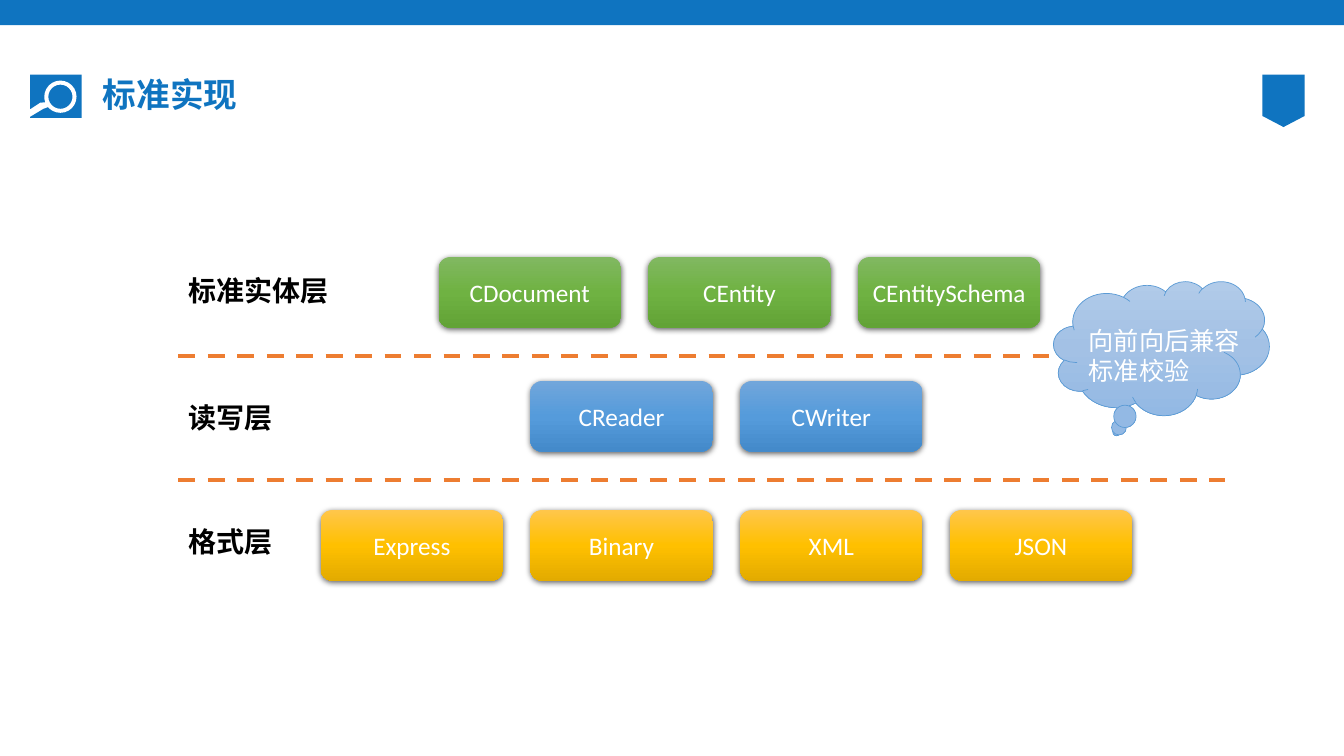
from copy import deepcopy
from dataclasses import dataclass
from itertools import pairwise
from math import cos, radians, sin

from lxml.etree import Element, SubElement
from pptx import Presentation
from pptx.dml.color import RGBColor
from pptx.enum.dml import MSO_LINE
from pptx.enum.shapes import MSO_CONNECTOR, MSO_SHAPE
from pptx.enum.text import MSO_ANCHOR, MSO_AUTO_SIZE, PP_ALIGN
from pptx.oxml.ns import qn
from pptx.shapes.autoshape import Shape
from pptx.slide import Slide
from pptx.util import Inches, Pt

COLORS = {
    "brand": "0F74C0",
    "white": "FFFFFF",
    "black": "000000",
    "divider": "ED7D31",
    "cloud_line": "5B9BD5",
}
GRADIENTS = {
    "green": ("81B861", "6FB242", "62A336"),
    "blue": ("71A6DB", "559BDB", "448ACA"),
    "yellow": ("FFC64B", "FFC000", "E3AB00"),
    "cloud": ("B1CBE9", "A3C1E5", "93B9E4"),
}
LATIN_FONT = "Calibri"
CHINESE_FONT = "Noto Sans CJK SC"
BOX_WIDTH, BOX_HEIGHT, BOX_STEP = 1.81, 0.7, 2.08
LABEL_LEFT, DIVIDER_RIGHT = 1.77, 12.15
Points = list[tuple[float, float]]


@dataclass
class Layer:
    label: str
    label_top: float
    label_width: float
    boxes: tuple[str, ...]
    box_left: float
    box_top: float
    gradient: str


LAYERS = [
    Layer("标准实体层", 2.66, 1.6, ("CDocument", "CEntity", "CEntitySchema"), 4.35, 2.55, "green"),
    Layer("读写层", 3.92, 1.04, ("CReader", "CWriter"), 5.26, 3.78, "blue"),
    Layer("格式层", 5.15, 1.04, ("Express", "Binary", "XML", "JSON"), 3.18, 5.06, "yellow"),
]
DIVIDER_TOPS = (3.53, 4.76)


def rgb(name: str) -> RGBColor:
    return RGBColor.from_string(COLORS[name])


def add_run(paragraph, text: str, size: int, color: str, font_name: str, bold: bool = False) -> None:
    run = paragraph.add_run()
    run.text = text
    run.font.size = Pt(size)
    run.font.bold = bold
    run.font.color.rgb = rgb(color)
    run.font.name = font_name
    SubElement(run.font._element, qn("a:ea"), typeface=font_name)


def fill_plain(shape: Shape, color: str) -> None:
    shape.fill.solid()
    shape.fill.fore_color.rgb = rgb(color)
    shape.line.fill.background()
    shape.shadow.inherit = False


def fill_gradient(shape: Shape, name: str) -> None:
    shape.fill.gradient()
    shape.fill.gradient_angle = 270
    stop_list = shape._element.spPr.find(".//" + qn("a:gsLst"))
    stop_list.append(deepcopy(stop_list[0]))
    for index, stop in enumerate(shape.fill.gradient_stops):
        stop.position = index / 2
        stop.color.rgb = RGBColor.from_string(GRADIENTS[name][index])
    shape.shadow.inherit = False


def add_drop_shadow(shape: Shape) -> None:
    effects = shape._element.spPr.find(qn("a:effectLst"))
    shadow = SubElement(effects, qn("a:outerShdw"), blurRad=str(Pt(4.5)), dist=str(Pt(1.5)),
                        dir="5400000", algn="ctr", rotWithShape="0")
    color = SubElement(shadow, qn("a:srgbClr"), val=COLORS["black"])
    SubElement(color, qn("a:alpha"), val="63000")


def add_plain_rectangle(slide: Slide, left: float, top: float, width: float, height: float) -> None:
    shape = slide.shapes.add_shape(
        MSO_SHAPE.RECTANGLE, Inches(left), Inches(top), Inches(width), Inches(height))
    fill_plain(shape, "brand")


def add_outline(slide: Slide, contours: list[Points], color: str) -> Shape:
    scaled = [[(Inches(x), Inches(y)) for x, y in contour] for contour in contours]
    builder = slide.shapes.build_freeform(*scaled[0][0])
    builder.add_line_segments(scaled[0][1:])
    for contour in scaled[1:]:
        builder.move_to(*contour[0])
        builder.add_line_segments(contour[1:])
    shape = builder.convert_to_shape()
    fill_plain(shape, color)
    return shape


def add_magnifier(slide: Slide) -> None:
    rim, lens = (160, 180, 270, 360, 450, 500), (360, 270, 180, 90, 0)
    rim_radius, lens_radius = 0.16, 0.12
    handle = [(0.43, 1.08), (0.28, 1.17), (0.23, 1.13), (0.4, 1.02)]

    def ring(radius: float, angles: tuple[int, ...]) -> Points:
        return [(0.6 + radius * cos(radians(angle)), 0.96 + radius * sin(radians(angle)))
                for angle in angles]

    shape = add_outline(slide, [ring(rim_radius, rim) + handle, ring(lens_radius, lens)], "white")
    # Round the straight sides of both rings
    sides = shape._element.spPr.findall(".//" + qn("a:lnTo"))
    rounded = ((rim_radius, rim, sides), (lens_radius, lens, sides[-len(lens) + 1:]))
    for radius, angles, ring_sides in rounded:
        for side, (start, end) in zip(ring_sides, pairwise(angles)):
            size = str(Inches(radius))
            curve = Element(qn("a:arcTo"), wR=size, hR=size, stAng=str(start % 360 * 60000),
                            swAng=str((end - start) * 60000))
            side.getparent().replace(side, curve)


def add_text(slide: Slide, left: float, top: float, width: float, height: float,
             lines: list[str], size: int, color: str, bold: bool = False) -> None:
    box = slide.shapes.add_textbox(Inches(left), Inches(top), Inches(width), Inches(height))
    frame = box.text_frame
    frame.word_wrap = False
    frame.auto_size = MSO_AUTO_SIZE.SHAPE_TO_FIT_TEXT
    for index, line in enumerate(lines):
        paragraph = frame.add_paragraph() if index else frame.paragraphs[0]
        add_run(paragraph, line, size, color, CHINESE_FONT, bold)


def add_divider(slide: Slide, top: float) -> None:
    line = slide.shapes.add_connector(
        MSO_CONNECTOR.STRAIGHT, Inches(LABEL_LEFT), Inches(top), Inches(DIVIDER_RIGHT), Inches(top))
    line.line.color.rgb = rgb("divider")
    line.line.width = Pt(3)
    line.line.dash_style = MSO_LINE.DASH
    SubElement(line._element.spPr, qn("a:effectLst"))


def add_layer(slide: Slide, layer: Layer) -> None:
    add_text(slide, LABEL_LEFT, layer.label_top, layer.label_width, 0.44,
             [layer.label], 20, "black", bold=True)
    for index, name in enumerate(layer.boxes):
        box = slide.shapes.add_shape(
            MSO_SHAPE.ROUNDED_RECTANGLE, Inches(layer.box_left + index * BOX_STEP),
            Inches(layer.box_top), Inches(BOX_WIDTH), Inches(BOX_HEIGHT))
        fill_gradient(box, layer.gradient)
        box.line.fill.background()
        add_drop_shadow(box)
        box.text_frame.vertical_anchor = MSO_ANCHOR.MIDDLE
        paragraph = box.text_frame.paragraphs[0]
        paragraph.alignment = PP_ALIGN.CENTER
        add_run(paragraph, name, 18, "white", LATIN_FONT)


def add_title(slide: Slide, text: str) -> None:
    title = slide.shapes.title
    title.left, title.top, title.width, title.height = map(Inches, (0.92, 0.74, 11.5, 0.43))
    title.text_frame.vertical_anchor = MSO_ANCHOR.MIDDLE
    title.text_frame.auto_size = MSO_AUTO_SIZE.NONE
    paragraph = title.text_frame.paragraphs[0]
    paragraph.alignment = PP_ALIGN.LEFT
    paragraph.line_spacing = 0.9
    add_run(paragraph, text, 24, "brand", CHINESE_FONT, bold=True)


def main() -> None:
    presentation = Presentation()
    presentation.slide_width, presentation.slide_height = Inches(13.33), Inches(7.5)
    slide = presentation.slides.add_slide(presentation.slide_layouts[5])
    # Header band, magnifier icon, page marker and title
    add_plain_rectangle(slide, 0, 0, 13.33, 0.25)
    add_plain_rectangle(slide, 0.3, 0.74, 0.51, 0.43)
    add_magnifier(slide)
    add_outline(slide, [[(12.52, 0.74), (12.94, 0.74), (12.94, 1.15), (12.73, 1.26),
                         (12.52, 1.15)]], "brand")
    add_title(slide, "标准实现")
    # Layers and the dashed lines between them
    for top in DIVIDER_TOPS:
        add_divider(slide, top)
    for layer in LAYERS:
        add_layer(slide, layer)
    # Cloud remark
    cloud = slide.shapes.add_shape(
        MSO_SHAPE.CLOUD_CALLOUT, Inches(10.45), Inches(2.79), Inches(2.14), Inches(1.33))
    fill_gradient(cloud, "cloud")
    cloud.line.color.rgb = rgb("cloud_line")
    cloud.line.width = Pt(0.5)
    add_text(slide, 10.7, 3.18, 1.72, 0.71, ["向前向后兼容", "标准校验"], 18, "white")
    presentation.save("out.pptx")


if __name__ == "__main__":
    main()
